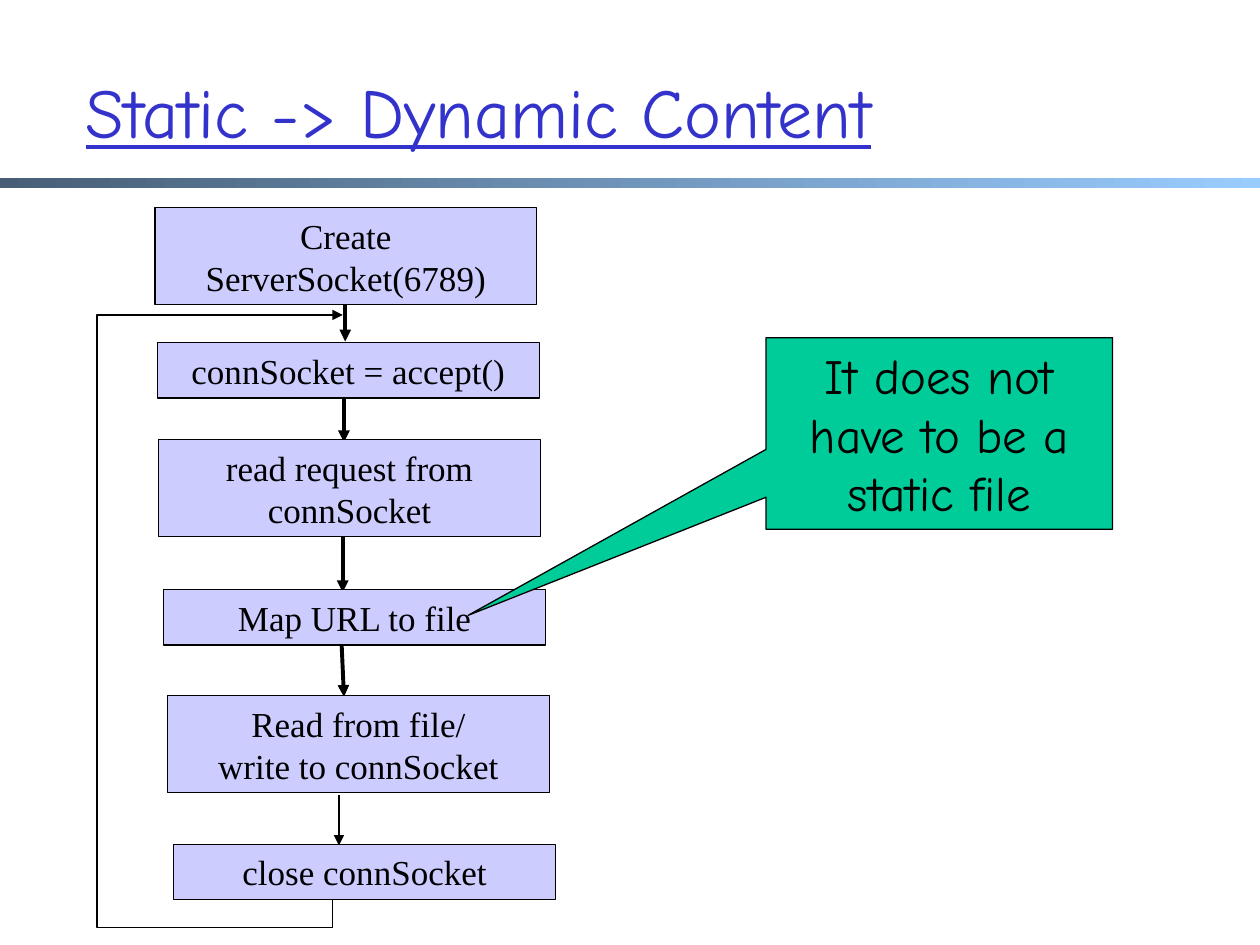
from typing import NamedTuple

from pptx import Presentation
from pptx.dml.color import RGBColor
from pptx.enum.shapes import MSO_CONNECTOR, MSO_SHAPE
from pptx.enum.text import MSO_ANCHOR, MSO_AUTO_SIZE, PP_ALIGN
from pptx.oxml.ns import qn
from pptx.util import Inches, Pt
from lxml.etree import SubElement

BLACK = RGBColor(0x00, 0x00, 0x00)
BLUE = RGBColor(0x33, 0x33, 0xCC)
LILAC = RGBColor(0xCC, 0xCC, 0xFF)
GREEN = RGBColor(0x00, 0xCC, 0x99)
SLATE = RGBColor(0x47, 0x5E, 0x76)
SKY = RGBColor(0x99, 0xCC, 0xFF)
HAND, SERIF = "Comic Neue", "Times New Roman"

# Grid of 100 columns by 75 rows
WIDE, HIGH = Inches(10), Inches(7.5)
COLS, ROWS = 100, 75
STEP_W = 30.3
TALL, LOW = 7.7, 4.4


class Step(NamedTuple):
    text: str
    left: float
    top: float
    high: float


class Arrow(NamedTuple):
    x1: float
    y1: float
    x2: float
    y2: float
    width: float = 2.25


STEPS = [
    Step("Create ServerSocket(6789)", 12.3, 16.5, TALL),
    Step("connSocket = accept()", 12.5, 27.2, LOW),
    Step("read request from connSocket", 12.6, 34.9, TALL),
    Step("Map URL to file", 13, 46.8, LOW),
    Step("Read from file/\vwrite to connSocket", 13.3, 55.2, TALL),
    Step("close connSocket", 13.8, 67, LOW),
]
ARROWS = [
    Arrow(27.4, 22.8, 27.4, 27.1),
    Arrow(27.3, 31.3, 27.3, 35.1),
    Arrow(27.2, 41.8, 27.2, 47),
    Arrow(27.1, 50.8, 27.3, 55.3),
    Arrow(26.9, 63.1, 26.9, 67.1, 1.5),
]
LOOP = [(26.4, 71.4), (26.4, 73.6), (7.7, 73.6), (7.7, 25), (27.2, 25)]


def col(n: float) -> int:
    return round(WIDE * n / COLS)


def row(n: float) -> int:
    return round(HIGH * n / ROWS)


def write(shape, text: str, *, font: str, size: float, color=BLACK,
          align=PP_ALIGN.CENTER, line=None) -> None:
    frame = shape.text_frame
    frame.text = text
    frame.word_wrap = True
    frame.auto_size = MSO_AUTO_SIZE.NONE
    frame.vertical_anchor = MSO_ANCHOR.MIDDLE
    para = frame.paragraphs[0]
    para.alignment = align
    for run in para.runs:
        run.font.name, run.font.size = font, Pt(size)
        run.font.color.rgb = color
        run.font.underline = line


def box(slide, kind, left: float, top: float, wide: float, high: float, fill):
    shape = slide.shapes.add_shape(kind, col(left), row(top), col(wide), row(high))
    shape.shadow.inherit = False
    shape.fill.solid()
    shape.fill.fore_color.rgb = fill
    shape.line.color.rgb = BLACK
    shape.line.width = Pt(0.75)
    return shape


def point(shape, width: float) -> None:
    """Style a black line that ends in an arrowhead."""
    shape.line.color.rgb = BLACK
    shape.line.width = Pt(width)
    SubElement(shape.line._get_or_add_ln(), qn("a:tailEnd"), type="triangle")


def link(slide, arrow: Arrow) -> None:
    line = slide.shapes.add_connector(
        MSO_CONNECTOR.STRAIGHT, col(arrow.x1), row(arrow.y1),
        col(arrow.x2), row(arrow.y2))
    point(line, arrow.width)
    SubElement(line._element.spPr, qn("a:effectLst"))


def main() -> None:
    deck = Presentation()
    deck.slide_width, deck.slide_height = WIDE, HIGH
    slide = deck.slides.add_slide(deck.slide_layouts[5])

    # Title and the bar below it
    title = slide.shapes.title
    title.left, title.top = col(5.8), row(2.5)
    title.width, title.height = col(85), row(12.5)
    write(title, "Static -> Dynamic Content", font=HAND, size=40,
          color=BLUE, align=PP_ALIGN.LEFT, line=True)
    bar = box(slide, MSO_SHAPE.RECTANGLE, 0, 14.1, COLS, 0.8, SKY)
    bar.line.fill.background()
    bar.fill.gradient()
    bar.fill.gradient_angle = 0
    for stop, color, place in zip(bar.fill.gradient_stops, (SLATE, SKY), (0, 1)):
        stop.color.rgb, stop.position = color, place

    # Flow: arrows under the steps
    for arrow in ARROWS:
        link(slide, arrow)
    for step in STEPS:
        shape = box(slide, MSO_SHAPE.RECTANGLE, step.left, step.top,
                    STEP_W, step.high, LILAC)
        write(shape, step.text, font=SERIF, size=20)

    # Loop back to accept
    spots = [(col(x), row(y)) for x, y in LOOP]
    pen = slide.shapes.build_freeform(*spots[0])
    pen.add_line_segments(spots[1:], close=False)
    loop = pen.convert_to_shape()
    loop.shadow.inherit = False
    loop.fill.background()
    point(loop, 0.75)

    # Callout
    note = box(slide, MSO_SHAPE.RECTANGULAR_CALLOUT, 60.8, 26.8, 27.5, 15.2, GREEN)
    note.adjustments[0], note.adjustments[1] = -1.36, 0.95
    write(note, "It does not have to be a static file", font=HAND, size=28)

    deck.save("out.pptx")


if __name__ == "__main__":
    main()
